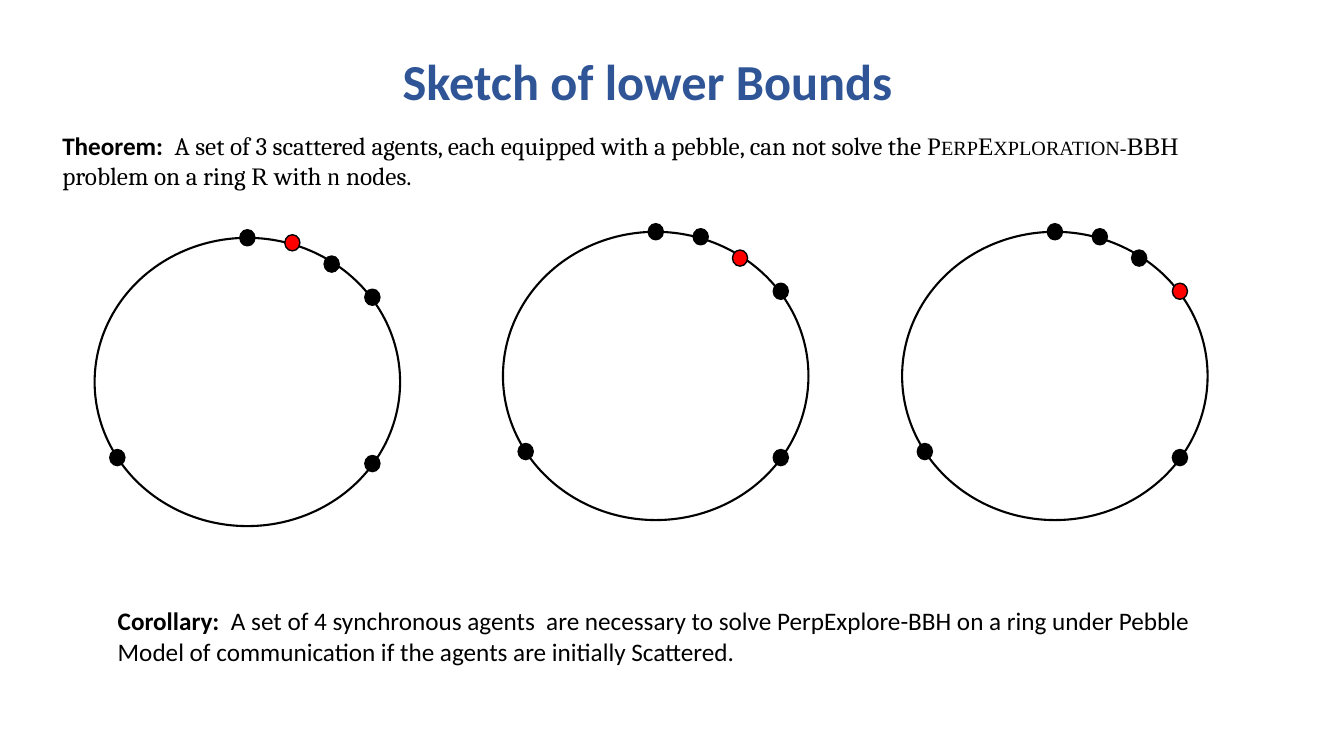
"""Build the slide on lower bounds for scattered agents on a ring."""
from dataclasses import dataclass

from pptx import Presentation
from pptx import util as u
from pptx.dml.color import RGBColor
from pptx.enum import shapes, text


@dataclass(frozen=True)
class Theme:
    """Colours, fonts and type sizes of the slide."""
    ink: str = "000000"
    title: str = "2F5597"
    marked: str = "FF0000"
    sans: str = "Calibri"
    serif: str = "Cambria"
    math: str = "Times New Roman"
    title_size: int = 36
    body_size: int = 18
    ring_line: float = 1.5
    node_line: float = 1


class SlideBuilder:
    """Draw text, ellipses and rings on one slide."""

    def __init__(self, slide, theme):
        """Keep the slide and its theme."""
        self.s = slide
        self.theme = theme

    def text(self, box, runs, size, color, align=text.PP_ALIGN.LEFT):
        """Add a paragraph from (wording, font, bold, small caps) runs."""
        tf = self.s.shapes.add_textbox(*map(u.Pt, box)).text_frame
        tf.word_wrap = True
        tf.auto_size = text.MSO_AUTO_SIZE.SHAPE_TO_FIT_TEXT
        p = tf.paragraphs[0]
        p.alignment = align
        for wording, font, bold, small_caps in runs:
            r = p.add_run()
            r.text = wording
            r.font.name = font
            r.font.size = u.Pt(size)
            r.font.bold = bold
            r.font.color.rgb = RGBColor.from_string(color)
            if small_caps:
                r.font._element.set("cap", "small")

    def ellipse(self, group, box, line, fill=None):
        """Add an outlined ellipse to a group, filled if a colour is given."""
        sp = group.shapes.add_shape(shapes.MSO_SHAPE.OVAL, *map(u.Pt, box))
        sp.shadow.inherit = False
        sp.line.color.rgb = RGBColor.from_string(self.theme.ink)
        sp.line.width = u.Pt(line)
        if fill:
            sp.fill.solid()
            sp.fill.fore_color.rgb = RGBColor.from_string(fill)
        else:
            sp.fill.background()

    def ring(self, left, top, nodes, marked):
        """Add a ring with its nodes, one of them marked."""
        group = self.s.shapes.add_group_shape()
        t = self.theme
        self.ellipse(group, (left, top, *RING_SIZE), t.ring_line)
        for i, (dx, dy) in enumerate(nodes):
            fill = t.marked if i == marked else t.ink
            self.ellipse(group, (left + dx, top + dy, *NODE_SIZE), t.node_line, fill)


RING_SIZE = (218.2, 205.9)
NODE_SIZE = (10.8, 11.5)
NODES = [(103.7, -5.8), (193, 155.5), (10.8, 151.2),
         (135.8, -2.2), (163.9, 13), (193, 36.7)]
FIRST_MARKED = 3
RINGS = [(67.6, 169.9), (359.3, 165.6), (644.4, 165.6)]


def main():
    """Build and save the slide."""
    prs = Presentation()
    prs.slide_width, prs.slide_height = u.Pt(960), u.Pt(540)
    t = Theme()
    b = SlideBuilder(prs.slides.add_slide(prs.slide_layouts[6]), t)

    b.text((46.8, 32.4, 831.6, 51.1),
           [("Sketch of lower Bounds", t.sans, True, False)],
           t.title_size, t.title, text.PP_ALIGN.CENTER)
    b.text((37.4, 89.3, 841, 51.1), [
        ("Theorem:  ", t.sans, True, False),
        ("A set of 3 scattered agents, each equipped with a pebble, "
         "can not solve the ", t.serif, False, False),
        ("PerpExploration-BBH ", t.math, False, True),
        ("problem on a ring ", t.serif, False, False),
        ("R ", t.math, False, False),
        ("with ", t.serif, False, False),
        ("n ", t.math, False, False),
        ("nodes.", t.serif, False, False),
    ], t.body_size, t.ink)
    b.text((77, 429.1, 783.4, 51.1), [
        ("Corollary:  ", t.sans, True, False),
        ("A set of 4 synchronous agents  are necessary to solve PerpExplore-BBH "
         "on a ring under Pebble Model of communication if the agents are "
         "initially Scattered.", t.sans, False, False),
    ], t.body_size, t.ink)

    for step, (left, top) in enumerate(RINGS):
        b.ring(left, top, NODES, FIRST_MARKED + step)

    prs.save("out.pptx")


if __name__ == "__main__":
    main()
